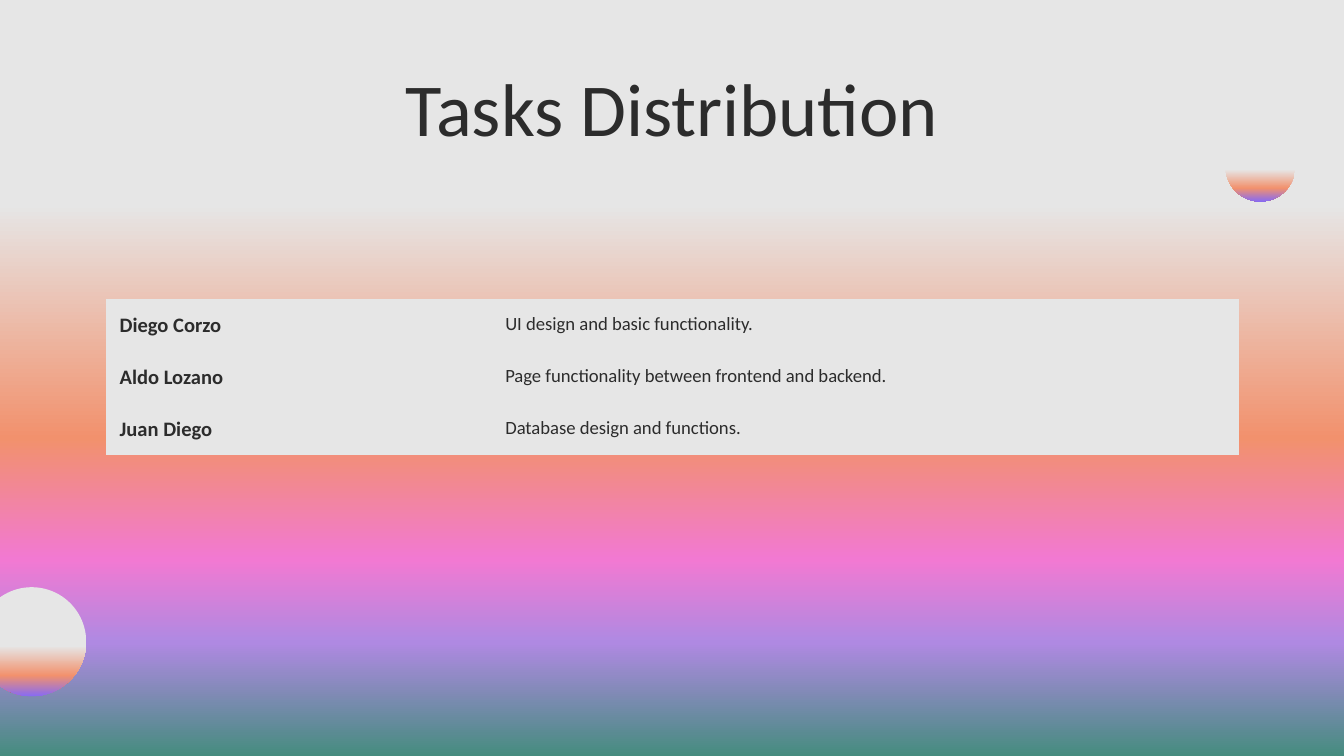
"""Build the task distribution slide: gradient backdrop, title, table and two orbs."""
from dataclasses import dataclass

from lxml import etree
from pptx import Presentation
from pptx.dml.color import RGBColor
from pptx.enum import shapes, text
from pptx.oxml.ns import qn
from pptx.util import Cm, Pt


@dataclass(frozen=True)
class Theme:
    """Colours, font and type sizes."""
    paper: str = "E6E6E6"
    ink: str = "2C2C2C"
    orange: str = "F2916D"
    pink: str = "F279D2"
    lilac: str = "AF89E2"
    violet: str = "886BF2"
    green: str = "468C7F"
    font: str = "Calibri"
    title: int = 40
    person: int = 11
    task: int = 10


@dataclass(frozen=True)
class Assignment:
    """A person and the task they own."""
    person: str
    task: str


@dataclass(frozen=True)
class Panel:
    """A preset shape filled with a vertical gradient, in centimetres."""
    kind: int
    left: float
    top: float
    width: float
    height: float
    stops: tuple[tuple[int, str], ...]


THEME = Theme()
WIDTH, HEIGHT = 25.4, 14.29
NO_STYLE = "{2D5ABB26-0587-4C30-8999-92F81FD0307C}"
MARGINS = {f"margin_{side}": Cm(0.25) for side in ("left", "top", "right", "bottom")}
ASSIGNMENTS = (
    Assignment("Diego Corzo", "UI design and basic functionality."),
    Assignment("Aldo Lozano", "Page functionality between frontend and backend."),
    Assignment("Juan Diego", "Database design and functions."),
)
SUNSET = ((0, THEME.paper), (27, THEME.paper), (58, THEME.orange),
          (74, THEME.pink), (85, THEME.lilac), (100, THEME.green))
ORB = ((0, THEME.paper), (54, THEME.paper), (81, THEME.orange), (100, THEME.violet))
BACKDROP = Panel(shapes.MSO_SHAPE.RECTANGLE, 0, 0, WIDTH, HEIGHT, SUNSET)
ORBS = (
    Panel(shapes.MSO_SHAPE.OVAL, -0.43, 11.1, 2.06, 2.06, ORB),
    Panel(shapes.MSO_SHAPE.OVAL, 23.16, 2.49, 1.32, 1.32, ORB),
)


def apply(target: object, values: dict) -> None:
    """Set each named attribute on the target."""
    for name, value in values.items():
        setattr(target, name, value)


def write(frame, words: str, size: int, bold: bool = False):
    """Write one paragraph in the theme font and return it."""
    paragraph = frame.paragraphs[0]
    run = paragraph.add_run()
    run.text = words
    apply(run.font, {"name": THEME.font, "size": Pt(size), "bold": bold})
    run.font.color.rgb = RGBColor.from_string(THEME.ink)
    return paragraph


def draw_panel(slide, panel: Panel):
    """Draw a borderless gradient panel and return it."""
    shape = slide.shapes.add_shape(
        panel.kind, Cm(panel.left), Cm(panel.top), Cm(panel.width), Cm(panel.height))
    shape.shadow.inherit = False
    shape.line.fill.background()
    shape.fill.gradient()
    shape.fill.gradient_angle = 270
    stop_list = shape.element.spPr.find(qn("a:gradFill")).find(qn("a:gsLst"))
    for stop in list(stop_list):
        stop_list.remove(stop)
    for percent, colour in panel.stops:
        stop = etree.SubElement(stop_list, qn("a:gs"), pos=str(percent * 1000))
        etree.SubElement(stop, qn("a:srgbClr"), val=colour)
    return shape


def draw_title(slide, words: str) -> None:
    """Place and format the title."""
    title = slide.shapes.title
    apply(title, {"left": Cm(1.98), "top": Cm(0.91), "width": Cm(21.44), "height": Cm(2.08)})
    apply(title.text_frame, MARGINS | {
        "word_wrap": True,
        "auto_size": text.MSO_AUTO_SIZE.NONE,
        "vertical_anchor": text.MSO_ANCHOR.TOP,
    })
    write(title.text_frame, words, THEME.title).alignment = text.PP_ALIGN.CENTER


def draw_table(slide, assignments: tuple[Assignment, ...]) -> None:
    """Draw one table row per assignment."""
    widths, row_height = (7.29, 14.12), 0.97
    frame = slide.shapes.add_table(
        len(assignments), len(widths), Cm(2.01), Cm(5.66),
        Cm(sum(widths)), Cm(row_height * len(assignments)))
    table = frame.table
    apply(table, {"first_row": False, "horz_banding": False})
    frame.element.find(f".//{qn('a:tableStyleId')}").text = NO_STYLE
    for column, width in zip(table.columns, widths):
        column.width = Cm(width)
    for row, assignment in zip(table.rows, assignments):
        row.height = Cm(row_height)
        for cell in row.cells:
            apply(cell, MARGINS)
            cell.fill.solid()
            cell.fill.fore_color.rgb = RGBColor.from_string(THEME.paper)
        person, task = row.cells
        write(person.text_frame, assignment.person, THEME.person, bold=True)
        write(task.text_frame, assignment.task, THEME.task).space_after = Pt(16)


def main() -> None:
    """Build and save the presentation."""
    deck = Presentation()
    apply(deck, {"slide_width": Cm(WIDTH), "slide_height": Cm(HEIGHT)})
    slide = deck.slides.add_slide(deck.slide_layouts.get_by_name("Title Only"))
    slide.background.fill.solid()
    slide.background.fill.fore_color.rgb = RGBColor.from_string(THEME.paper)
    backdrop = draw_panel(slide, BACKDROP)
    slide.shapes.title.element.addprevious(backdrop.element)
    draw_title(slide, "Tasks Distribution")
    draw_table(slide, ASSIGNMENTS)
    for orb in ORBS:
        draw_panel(slide, orb)
    deck.save("out.pptx")


if __name__ == "__main__":
    main()
